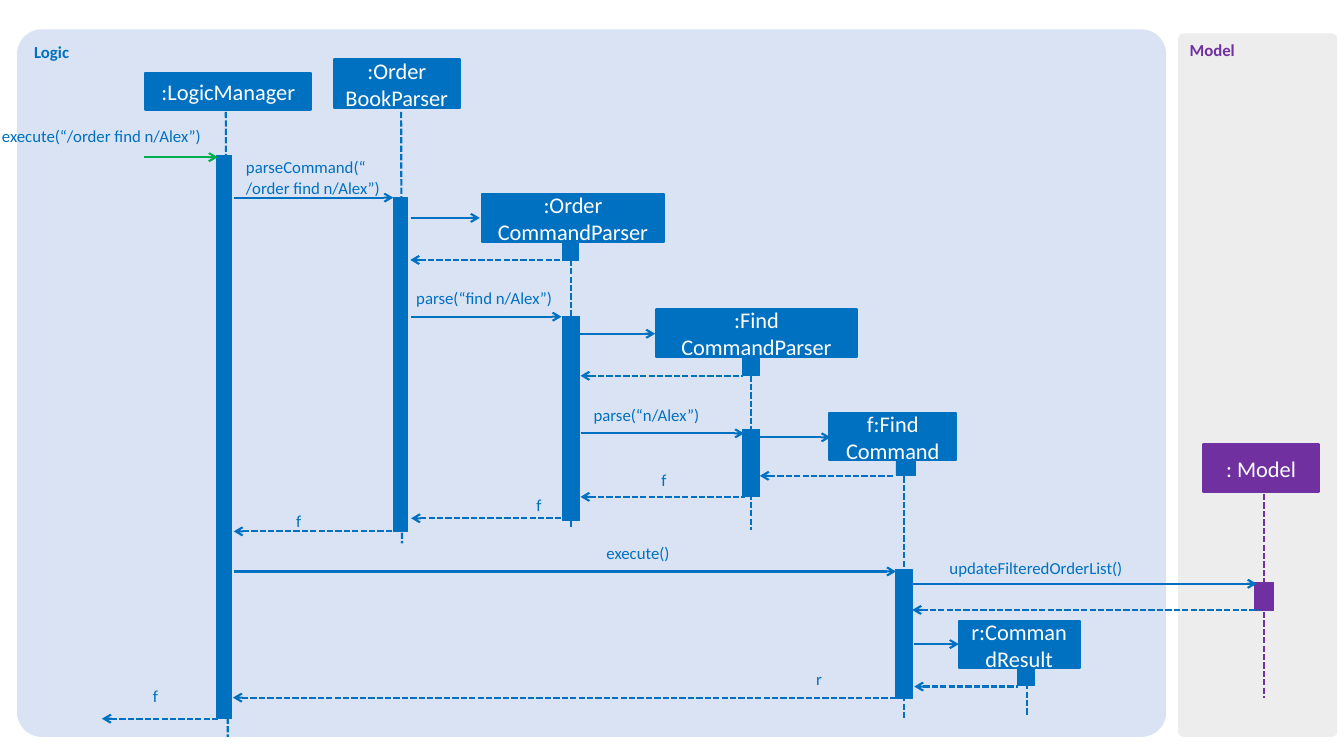
from lxml.etree import SubElement
from pptx import Presentation
from pptx.dml.color import RGBColor
from pptx.enum.dml import MSO_LINE
from pptx.enum.shapes import MSO_CONNECTOR, MSO_SHAPE
from pptx.enum.text import MSO_ANCHOR as Anchor, MSO_AUTO_SIZE, PP_ALIGN as Align
from pptx.oxml.ns import qn
from pptx.util import Cm, Pt

BLUE, PURPLE, GREEN, WHITE = "0070C0", "7030A0", "00B050", "FFFFFF"

# Name, header box, lifeline (x, top, x, bottom), activation bars, colour
PARTICIPANTS = [
    (":LogicManager", (3.66, 1.85, 4.19, 0.91), (5.69, 2.82, 5.74, 18.57),
     [(5.46, 3.91, 0.38, 14.2)], BLUE),
    (":Order\nBookParser", (8.41, 1.5, 3.18, 1.22), (10.11, 2.82, 10.13, 13.69),
     [(9.91, 4.98, 0.36, 8.41)], BLUE),
    (":Order\nCommandParser", (12.14, 4.88, 4.6, 1.22), (14.4, 6.12, 14.4, 13.31),
     [(14.17, 6.12, 0.41, 0.43), (14.17, 7.98, 0.43, 5.13)], BLUE),
    (":Find\vCommandParser", (16.54, 7.8, 5.05, 1.19), (18.92, 9.04, 18.92, 13.36),
     [(18.72, 9.04, 0.41, 0.43), (18.72, 10.82, 0.41, 1.7)], BLUE),
    ("f:Find\vCommand", (20.9, 10.41, 3.2, 1.19), (22.78, 11.58, 22.78, 18.11),
     [(22.58, 11.63, 0.48, 0.36), (22.56, 14.35, 0.43, 3.25)], BLUE),
    (": Model", (30.33, 11.2, 2.9, 1.19), (31.85, 12.45, 31.85, 17.6),
     [(31.62, 14.68, 0.46, 0.71)], PURPLE),
    ("r:CommandResult", (24.16, 15.65, 3.05, 1.19), (25.88, 16.79, 25.88, 18.01),
     [(25.65, 16.84, 0.41, 0.43)], BLUE),
]

# Left end, right end, height on the slide
CALLS = [
    (5.89, 9.91, 4.98), (10.36, 12.09, 5.49), (10.36, 14.15, 7.98),
    (14.61, 16.51, 8.41), (14.63, 18.75, 10.92), (19.15, 20.93, 11.02),
    (5.89, 22.58, 14.4), (23.01, 31.67, 14.71), (23.04, 24.16, 16.23),
]
RETURNS = [
    (10.34, 14.38, 6.55), (14.63, 18.72, 9.47), (19.15, 22.5, 11.99),
    (14.63, 18.77, 12.52), (10.36, 14.25, 13.06), (5.89, 9.91, 13.39),
    (22.99, 31.7, 15.37), (23.04, 25.65, 17.3), (5.87, 22.56, 17.58),
    (2.57, 5.54, 18.11),
]

# Text, left, top, width, alignment
LABELS = [
    ("execute(“/order find n/Alex”)", -0.69, 3.18, 6.5, Align.CENTER),
    ("parseCommand(“\n/order find n/Alex”)", 6.2, 3.96, 3.66, Align.LEFT),
    ("parse(“find n/Alex”)", 10.49, 7.24, 3.63, Align.LEFT),
    ("parse(“n/Alex”)", 14.96, 10.21, 3.35, Align.LEFT),
    ("f", 14.99, 11.84, 3.48, Align.CENTER),
    ("f", 11.84, 12.47, 3.48, Align.CENTER),
    ("f", 5.79, 12.88, 3.48, Align.CENTER),
    ("execute()", 12.83, 13.67, 6.5, Align.CENTER),
    ("updateFilteredOrderList()", 22.86, 14.05, 6.5, Align.CENTER),
    ("r", 18.9, 16.84, 3.48, Align.CENTER),
    ("f", 2.18, 17.27, 3.48, Align.CENTER),
]


def color(value):
    return RGBColor.from_string(value)


def write(shape, text, size=12, fill=BLUE, bold=False, align=Align.LEFT, anchor=Anchor.TOP):
    frame = shape.text_frame
    frame.word_wrap = True
    frame.vertical_anchor = anchor
    frame.text = text
    for para in frame.paragraphs:
        para.alignment = align
        for span in para.runs:
            span.font.name = "Calibri"
            span.font.size = Pt(size)
            span.font.bold = bold
            span.font.color.rgb = color(fill)


def add_block(slide, box, fill, line_width=0, kind=MSO_SHAPE.RECTANGLE):
    shape = slide.shapes.add_shape(kind, *map(Cm, box))
    shape.shadow.inherit = False
    shape.fill.solid()
    shape.fill.fore_color.rgb = color(fill)
    if line_width:
        shape.line.color.rgb = color(fill)
        shape.line.width = Pt(line_width)
    else:
        shape.line.fill.background()
    return shape


def add_line(slide, ends, stroke=BLUE, dashed=False, arrow=None):
    """Draw a line; arrow is "headEnd" (at its start), "tailEnd" or None."""
    line = slide.shapes.add_connector(MSO_CONNECTOR.STRAIGHT, *map(Cm, ends))
    line.line.color.rgb = color(stroke)
    line.line.width = Pt(1.5)
    if dashed:
        line.line.dash_style = MSO_LINE.SQUARE_DOT
    if arrow:
        SubElement(line.line._get_or_add_ln(), qn(f"a:{arrow}"), type="arrow")
    SubElement(line._element.spPr, qn("a:effectLst"))


def add_panel(slide, title, box, fill, title_color):
    panel = add_block(slide, box, fill, kind=MSO_SHAPE.ROUNDED_RECTANGLE)
    panel.adjustments[0] = 0.035
    write(panel, title, fill=title_color, bold=True)


def add_participant(slide, name, box, lifeline, bars, fill):
    add_line(slide, lifeline, fill, dashed=True)
    for bar in bars:
        add_block(slide, bar, fill, 0.5)
    header = add_block(slide, box, fill, 1.5)
    write(header, name, size=16, fill=WHITE, align=Align.CENTER, anchor=Anchor.MIDDLE)


def add_call(slide, left, right, y, stroke=BLUE):
    add_line(slide, (left, y, right, y), stroke, arrow="tailEnd")


def add_return(slide, left, right, y):
    add_line(slide, (left, y, right, y), dashed=True, arrow="headEnd")


def add_label(slide, text, left, top, width, align):
    height = 0.51 * len(text.splitlines())
    label = slide.shapes.add_textbox(Cm(left), Cm(top), Cm(width), Cm(height))
    frame = label.text_frame
    frame.margin_left = frame.margin_right = frame.margin_top = frame.margin_bottom = 0
    frame.auto_size = MSO_AUTO_SIZE.SHAPE_TO_FIT_TEXT
    write(label, text, align=align)


def add_sequence_diagram(slide):
    add_panel(slide, "Logic", (0.43, 0.74, 28.96, 17.83), "DAE3F3", BLUE)
    add_panel(slide, "Model", (29.69, 0.84, 4.01, 17.73), "EDEDED", PURPLE)
    for participant in PARTICIPANTS:
        add_participant(slide, *participant)
    add_call(slide, 3.63, 5.49, 3.96, GREEN)
    for call in CALLS:
        add_call(slide, *call)
    for answer in RETURNS:
        add_return(slide, *answer)
    for label in LABELS:
        add_label(slide, *label)


def main():
    deck = Presentation()
    deck.slide_width, deck.slide_height = Cm(33.87), Cm(19.05)
    add_sequence_diagram(deck.slides.add_slide(deck.slide_layouts[6]))
    deck.save("out.pptx")


if __name__ == "__main__":
    main()
